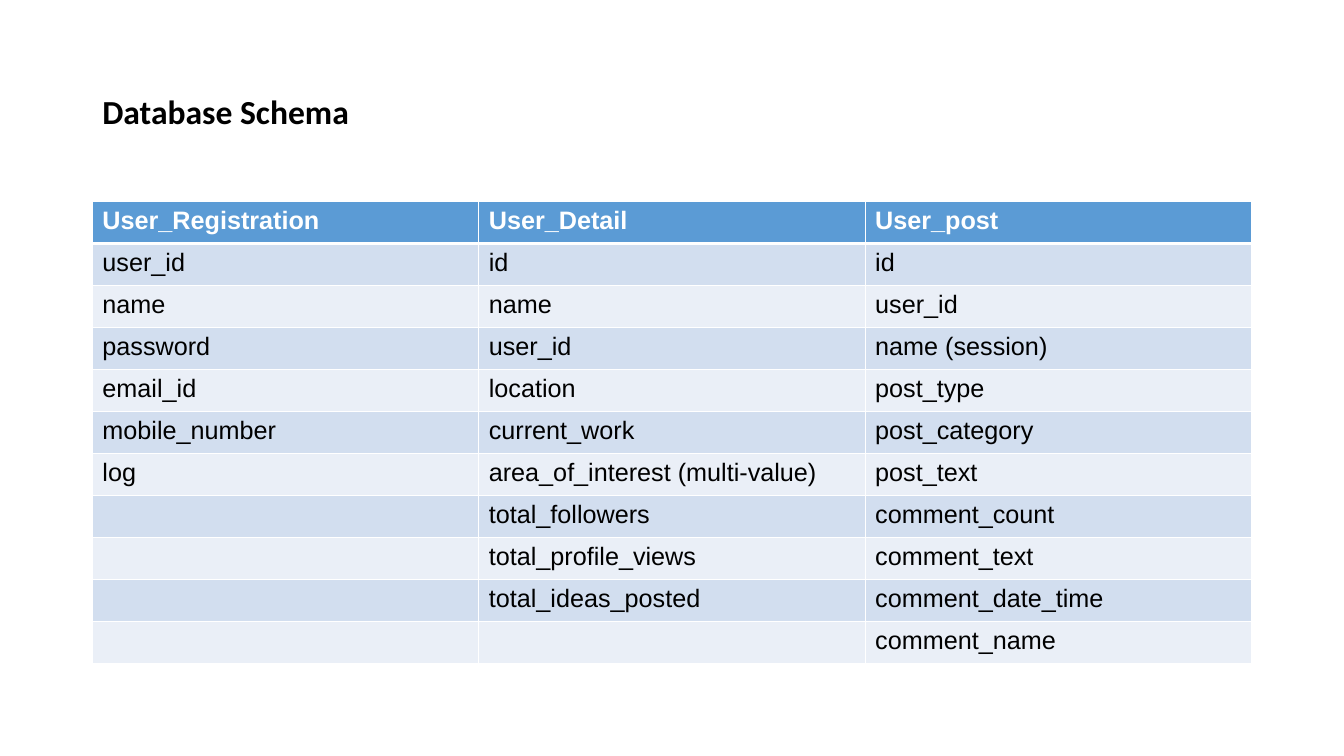
"""Build the database schema slide: a title above a table of three entities."""
from itertools import zip_longest

from lxml import etree
from pptx import Presentation
from pptx import util as u
from pptx.dml import color
from pptx.enum import text
from pptx.oxml import ns

TITLE = "Database Schema"
TABLES = {
    "User_Registration": ["user_id", "name", "password", "email_id",
                          "mobile_number", "log"],
    "User_Detail": ["id", "name", "user_id", "location", "current_work",
                    "area_of_interest (multi-value)", "total_followers",
                    "total_profile_views", "total_ideas_posted"],
    "User_post": ["id", "user_id", "name (session)", "post_type",
                  "post_category", "post_text", "comment_count",
                  "comment_text", "comment_date_time", "comment_name"],
}
TITLE_FONT = {"name": "Calibri", "size": u.Pt(24), "bold": True}
HEAD_FONT = {"name": "Arial", "size": u.Pt(18), "bold": True}
BODY_FONT = {**HEAD_FONT, "bold": False}
HEAD_FILL, BANDS = "5B9BD5", ("EAEFF7", "D2DEEF")
BLACK, WHITE = "000000", "FFFFFF"

LEFT, TITLE_TOP, TITLE_H, TABLE_TOP = 66, 28.75, 104.4, 144
COL_W, ROW_H = 276, 30


def rgb(value):
    """Turn a hex string into a colour."""
    return color.RGBColor.from_string(value)


def write(p, content, font, hex_color):
    """Put formatted text in a paragraph."""
    r = p.add_run()
    r.text = content
    for key, value in font.items():
        setattr(r.font, key, value)
    r.font.color.rgb = rgb(hex_color)


def add_borders(cell, widths):
    """Give a cell white borders of the given widths in points."""
    tc_pr = cell._tc.get_or_add_tcPr()
    for i, (side, width) in enumerate(widths.items()):
        ln = etree.Element(ns.qn(f"a:ln{side}"), w=str(u.Pt(width)))
        fill = etree.SubElement(ln, ns.qn("a:solidFill"))
        etree.SubElement(fill, ns.qn("a:srgbClr"), val=WHITE)
        tc_pr.insert(i, ln)


def add_title(s):
    """Add the slide title."""
    sp = s.shapes.add_textbox(u.Pt(LEFT), u.Pt(TITLE_TOP),
                              u.Pt(COL_W * len(TABLES)), u.Pt(TITLE_H))
    tf = sp.text_frame
    tf.word_wrap = True
    tf.vertical_anchor = text.MSO_ANCHOR.MIDDLE
    p = tf.paragraphs[0]
    p.line_spacing = 0.9
    write(p, TITLE, TITLE_FONT, BLACK)


def add_schema(s):
    """Add the table with one column per entity."""
    rows = [tuple(TABLES), *zip_longest(*TABLES.values(), fillvalue="")]
    n_rows, n_cols = len(rows), len(TABLES)
    table = s.shapes.add_table(n_rows, n_cols, u.Pt(LEFT), u.Pt(TABLE_TOP),
                               u.Pt(COL_W * n_cols), u.Pt(ROW_H * n_rows)).table
    for i, row in enumerate(rows):
        head = i == 0
        widths = {"L": 1, "R": 1, "T": 3 if i == 1 else 1, "B": 3 if head else 1}
        for j, field in enumerate(row):
            cell = table.cell(i, j)
            cell.fill.solid()
            cell.fill.fore_color.rgb = rgb(HEAD_FILL if head else BANDS[i % 2])
            add_borders(cell, widths)
            if field:
                write(cell.text_frame.paragraphs[0], field,
                      HEAD_FONT if head else BODY_FONT, WHITE if head else BLACK)


def main():
    """Create and save the presentation."""
    prs = Presentation()
    prs.slide_width, prs.slide_height = u.Pt(960), u.Pt(540)
    s = prs.slides.add_slide(prs.slide_layouts[6])
    add_title(s)
    add_schema(s)
    prs.save("out.pptx")


if __name__ == "__main__":
    main()
